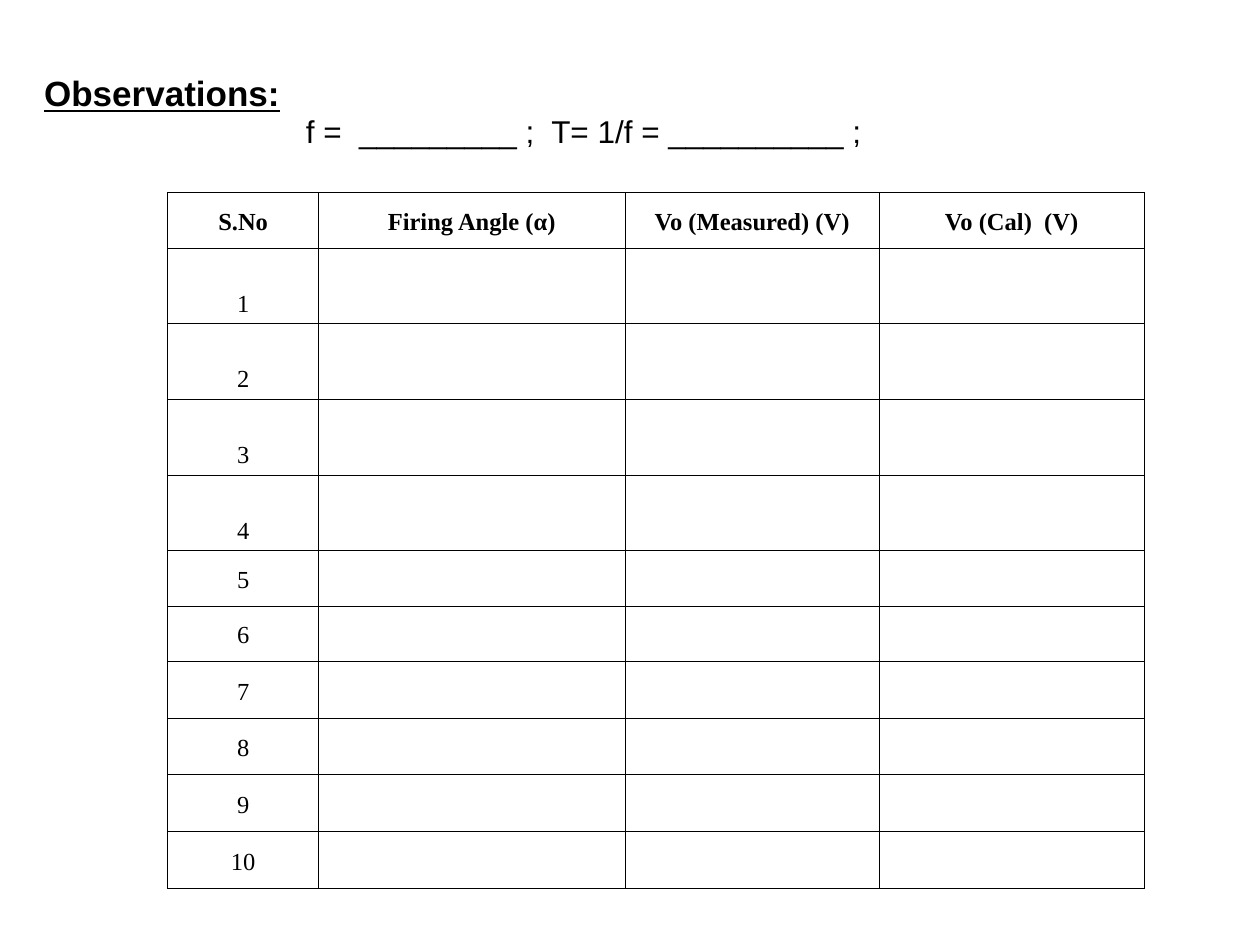
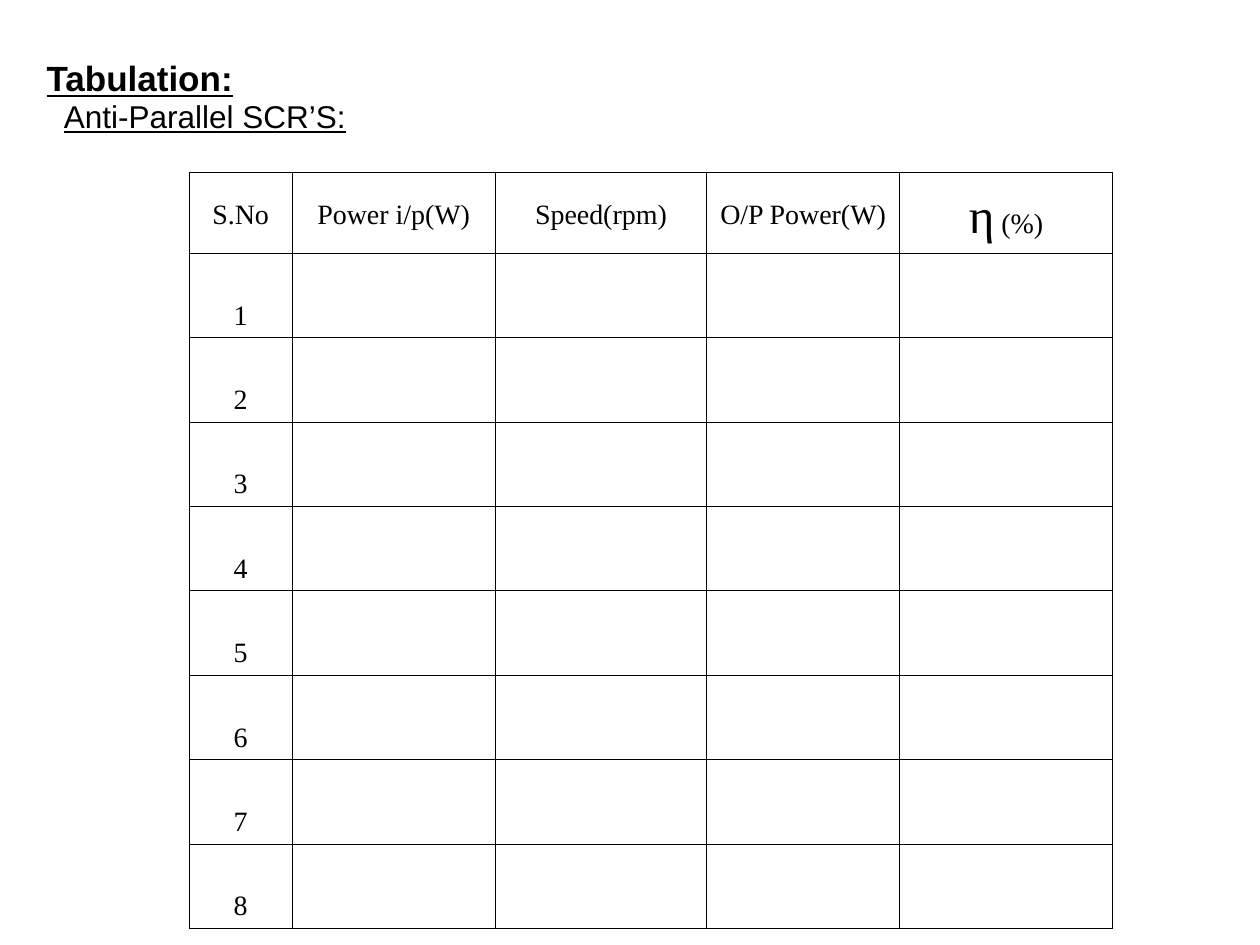
from dataclasses import dataclass

import pptx
import pptx.dml.color
import pptx.enum.text
import pptx.oxml
import pptx.oxml.ns
import pptx.util
from pptx.util import Inches

HEADING_FONT = "Arial"
TABLE_FONT = "Times New Roman"
INK = "000000"
BORDER_POINTS = 0.45
TALL_ROW = 0.55  # rows above this height carry their number at the bottom
SUBHEADING_DROP = 0.32
LEFT = pptx.enum.text.PP_ALIGN.LEFT
CENTER = pptx.enum.text.PP_ALIGN.CENTER
ANCHOR = pptx.enum.text.MSO_ANCHOR


@dataclass(frozen=True)
class Span:
    text: str
    size: float
    bold: bool = False


@dataclass(frozen=True)
class ReadingTable:
    left: float
    top: float
    widths: list[float]
    heights: list[float]
    headers: list[list[Span]]
    number_size: float
    side_margin: float


@dataclass(frozen=True)
class LabPage:
    heading: str
    heading_left: float
    heading_top: float
    subheading: str
    subheading_left: float
    subheading_underlined: bool
    table: ReadingTable


def color(code: str) -> pptx.dml.color.RGBColor:
    return pptx.dml.color.RGBColor.from_string(code)


def style_font(font, name: str, size: float, bold: bool = False, underline: bool = False) -> None:
    font.name = name
    font.size = pptx.util.Pt(size)
    font.bold = bold
    font.underline = underline
    font.color.rgb = color(INK)


def add_tab_stop(para, position: float) -> None:
    namespace = pptx.oxml.ns.nsdecls("a")
    stops = pptx.oxml.parse_xml(
        f'<a:tabLst {namespace}><a:tab pos="{Inches(position)}" algn="l"/></a:tabLst>'
    )
    para._p.get_or_add_pPr().append(stops)


def write_line(box, text: str, size: float, bold: bool, underline: bool) -> None:
    """Fill a heading box with one left-aligned line."""
    frame = box.text_frame
    frame.word_wrap = True
    frame.auto_size = pptx.enum.text.MSO_AUTO_SIZE.NONE
    frame.vertical_anchor = ANCHOR.TOP
    frame.text = text
    para = frame.paragraphs[0]
    para.alignment = LEFT
    if "\t" in text:
        add_tab_stop(para, 2.02)
    for run in para.runs:
        style_font(run.font, HEADING_FONT, size, bold, underline)


def add_headings(page, content: LabPage) -> None:
    title = page.shapes.title
    title.left, title.top = Inches(content.heading_left), Inches(content.heading_top)
    title.width, title.height = Inches(6), Inches(0.42)
    write_line(title, content.heading, 20, bold=True, underline=True)
    box = page.shapes.add_textbox(
        Inches(content.subheading_left),
        Inches(content.heading_top + SUBHEADING_DROP),
        Inches(6),
        Inches(0.39),
    )
    write_line(box, content.subheading, 18, bold=False, underline=content.subheading_underlined)


def format_cell(cell, side_margin: float, tall: bool) -> None:
    cell.margin_left = cell.margin_right = Inches(side_margin)
    cell.margin_top = cell.margin_bottom = Inches(0.05)
    cell.vertical_anchor = ANCHOR.BOTTOM if tall else ANCHOR.MIDDLE
    properties = cell._tc.get_or_add_tcPr()
    namespace = pptx.oxml.ns.nsdecls("a")
    for side in ("lnL", "lnR", "lnT", "lnB"):
        properties.append(pptx.oxml.parse_xml(
            f'<a:{side} {namespace} w="{pptx.util.Pt(BORDER_POINTS)}">'
            f'<a:solidFill><a:srgbClr val="{INK}"/></a:solidFill></a:{side}>'
        ))
    cell.fill.background()


def write_cell(cell, spans: list[Span]) -> None:
    para = cell.text_frame.paragraphs[0]
    para.alignment = CENTER
    para.line_spacing = 1.15
    for span in spans:
        run = para.add_run()
        run.text = span.text
        style_font(run.font, TABLE_FONT, span.size, span.bold)


def add_reading_table(page, spec: ReadingTable) -> None:
    table = page.shapes.add_table(
        len(spec.heights), len(spec.widths), Inches(spec.left), Inches(spec.top),
        Inches(sum(spec.widths)), Inches(sum(spec.heights)),
    ).table
    table.first_row = table.horz_banding = False
    for column, width in zip(table.columns, spec.widths):
        column.width = Inches(width)
    for number, (row, height) in enumerate(zip(table.rows, spec.heights)):
        row.height = Inches(height)
        for cell in row.cells:
            format_cell(cell, spec.side_margin, number > 0 and height > TALL_ROW)
        if number:
            write_cell(row.cells[0], [Span(str(number), spec.number_size)])
    for column_index, spans in enumerate(spec.headers):
        write_cell(table.cell(0, column_index), spans)


FIRING_HEADERS = ["S.No", "Firing Angle (α)", "Vo (Measured) (V)", "Vo (Cal)  (V)"]
POWER_HEADERS = ["S.No", "Power i/p(W)", "Speed(rpm)", "O/P Power(W)"]

PAGES = [
    LabPage(
        heading="Observations:\t",
        heading_left=0.25,
        heading_top=0.52,
        subheading="f =  _________ ;  T= 1/f = __________ ;",
        subheading_left=2.33,
        subheading_underlined=False,
        table=ReadingTable(
            left=1.33,
            top=1.53,
            widths=[1.2, 2.43, 2.02, 2.1],
            heights=[0.44] + [0.6] * 4 + [0.44] * 2 + [0.45] * 4,
            headers=[[Span(text, 14, bold=True)] for text in FIRING_HEADERS],
            number_size=14,
            side_margin=0.04,
        ),
    ),
    LabPage(
        heading="Tabulation:",
        heading_left=0.27,
        heading_top=0.4,
        subheading="Anti-Parallel SCR’S:",
        subheading_left=0.41,
        subheading_underlined=True,
        table=ReadingTable(
            left=1.5,
            top=1.37,
            widths=[0.82, 1.61, 1.68, 1.53, 1.69],
            heights=[0.64] + [0.67] * 8,
            headers=[[Span(text, 16)] for text in POWER_HEADERS]
            + [[Span("η", 28), Span(" (%)", 16)]],
            number_size=16,
            side_margin=0.05,
        ),
    ),
]


def main() -> None:
    deck = pptx.Presentation()
    deck.slide_width, deck.slide_height = Inches(10), Inches(7.5)
    title_only = deck.slide_layouts.get_by_name("Title Only")
    for content in PAGES:
        page = deck.slides.add_slide(title_only)
        add_reading_table(page, content.table)
        add_headings(page, content)
    deck.save("out.pptx")


if __name__ == "__main__":
    main()
